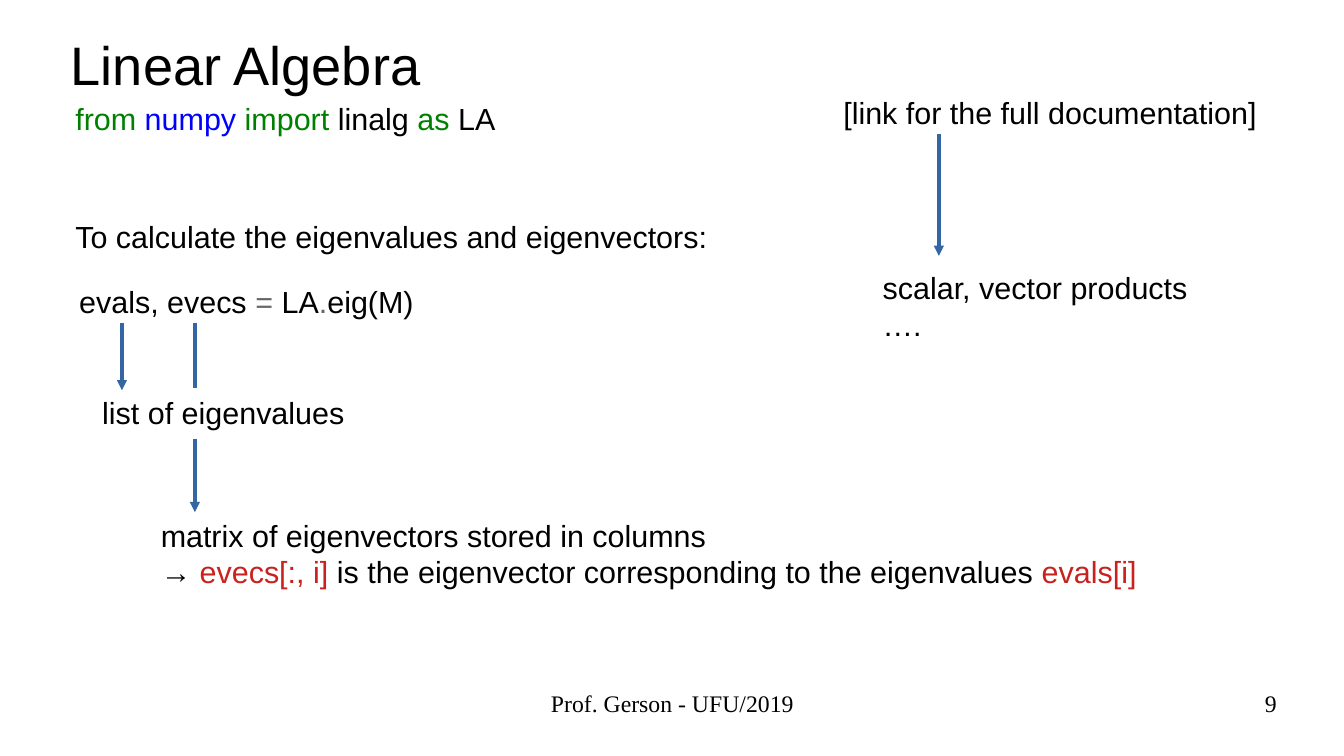
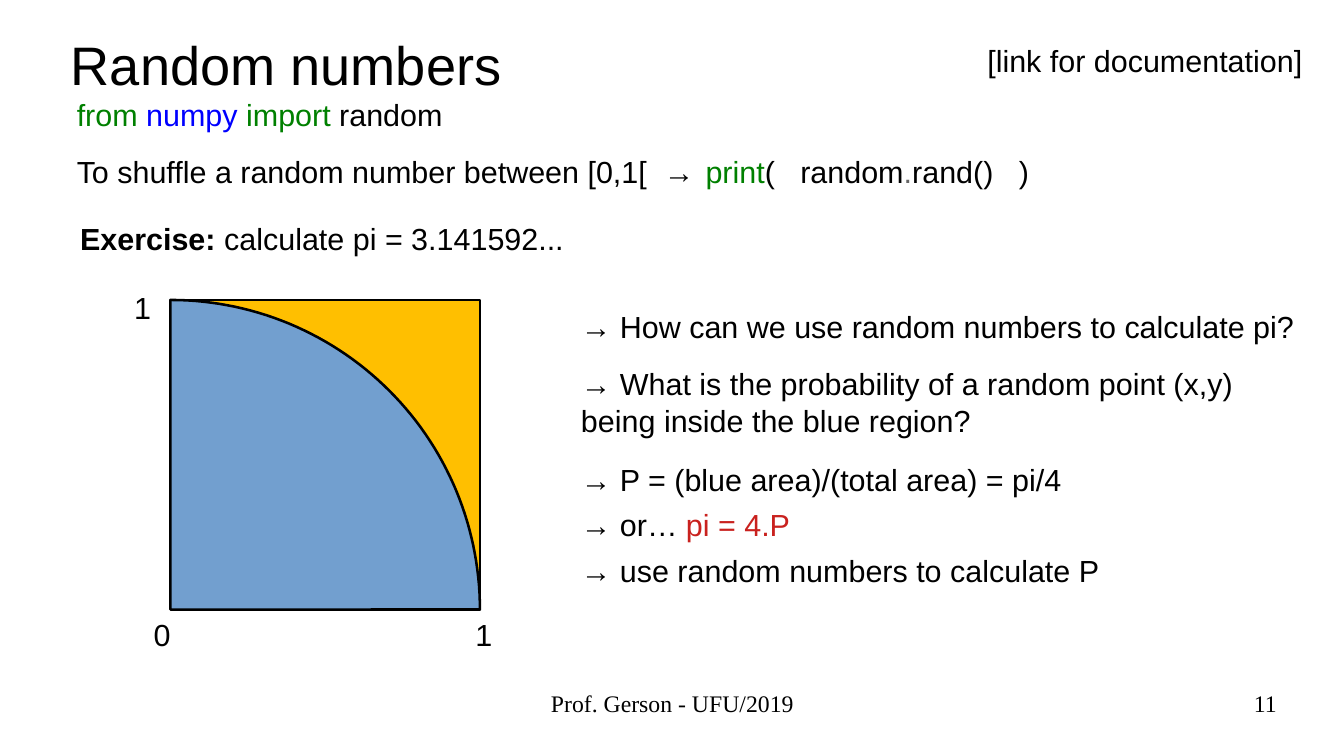
from dataclasses import dataclass
from math import cos, pi, sin

from lxml.etree import SubElement
from pptx import Presentation
from pptx.dml.color import RGBColor
from pptx.enum.shapes import MSO_CONNECTOR, MSO_SHAPE
from pptx.enum.text import MSO_ANCHOR, MSO_AUTO_SIZE, PP_ALIGN
from pptx.oxml.ns import qn
from pptx.util import Cm, Pt


@dataclass(frozen=True)
class Theme:
    ink: str = "000000"
    keyword: str = "008000"
    module_name: str = "0000FF"
    operator: str = "666666"
    highlight: str = "C9211E"
    arrow: str = "3465A4"
    square: str = "FFBF00"
    quarter: str = "729FCF"
    sans: str = "Arial"
    serif: str = "Times New Roman"
    title_size: int = 32
    text_size: int = 18
    footer_size: int = 14


THEME = Theme()
TITLE_AND_BODY, TITLE_ONLY = 1, 5
ARC_STEPS = 60


class Deck:
    """Holds the presentation, its theme and the slide being built."""

    def __init__(self, theme):
        self.theme = theme
        self.prs = Presentation()
        self.prs.slide_width, self.prs.slide_height = Cm(28), Cm(15.75)
        self.slide = None

    def new_slide(self, title, number, layout=TITLE_ONLY):
        self.slide = self.prs.slides.add_slide(self.prs.slide_layouts[layout])
        heading = self.slide.shapes.title
        self.place(heading, 1.22, 0.53, 17.75, 1.52)
        self.fill_text(heading.text_frame, [[title]], size=self.theme.title_size)
        self.footer("Prof. Gerson - UFU/2019", 9.58, 8.86, PP_ALIGN.CENTER)
        self.footer(number, 20.07, 6.53, PP_ALIGN.RIGHT)

    def place(self, shape, left, top, width, height):
        shape.left, shape.top = Cm(left), Cm(top)
        shape.width, shape.height = Cm(width), Cm(height)

    def fill_text(self, frame, paragraphs, size=None, font=None, align=PP_ALIGN.LEFT):
        """Each paragraph is a list of plain strings or (text, colour) pairs."""
        frame.word_wrap = True
        frame.auto_size = MSO_AUTO_SIZE.NONE
        frame.vertical_anchor = MSO_ANCHOR.TOP
        for index, parts in enumerate(paragraphs):
            paragraph = frame.add_paragraph() if index else frame.paragraphs[0]
            paragraph.alignment = align
            paragraph.space_before = Pt(0)
            for part in parts:
                words, colour = (part, self.theme.ink) if isinstance(part, str) else part
                run = paragraph.add_run()
                run.text = words
                run.font.size = Pt(size or self.theme.text_size)
                run.font.name = font or self.theme.sans
                run.font.color.rgb = RGBColor.from_string(colour)

    def text(self, left, top, width, *paragraphs, align=PP_ALIGN.LEFT):
        height = 0.25 + 0.72 * len(paragraphs)
        box = self.slide.shapes.add_textbox(Cm(left), Cm(top), Cm(width), Cm(height))
        self.fill_text(box.text_frame, paragraphs, align=align)
        return box.text_frame

    def axis_label(self, centre, top, label):
        self.text(centre - 0.6, top, 1.2, [label], align=PP_ALIGN.CENTER)

    def footer(self, words, left, width, align):
        frame = self.slide.shapes.add_textbox(
            Cm(left), Cm(14.35), Cm(width), Cm(1.09)).text_frame
        frame.margin_left = frame.margin_right = 0
        frame.margin_top = frame.margin_bottom = 0
        self.fill_text(frame, [[words]], self.theme.footer_size, self.theme.serif, align)

    def body(self, left, top, width, height, items):
        """Each item is (parts, space before in points, right margin in cm)."""
        holder = self.slide.placeholders[1]
        self.place(holder, left, top, width, height)
        frame = holder.text_frame
        self.fill_text(frame, [parts for parts, _, _ in items])
        for paragraph, (_, space, right_margin) in zip(frame.paragraphs, items):
            paragraph.space_before = Pt(space)
            properties = paragraph._p.get_or_add_pPr()
            properties.set("marL", "0")
            properties.set("indent", "0")
            properties.set("marR", str(int(Cm(right_margin))))
            SubElement(properties, qn("a:buNone"))

    def down_line(self, x, top, bottom, head=True):
        line = self.slide.shapes.add_connector(
            MSO_CONNECTOR.STRAIGHT, Cm(x), Cm(top), Cm(x), Cm(bottom))
        line.line.color.rgb = RGBColor.from_string(self.theme.arrow)
        line.line.width = Pt(0)
        if head:
            SubElement(line.line._get_or_add_ln(), qn("a:tailEnd"), type="triangle")
        SubElement(line._element.spPr, qn("a:effectLst"))

    def paint(self, shape, fill, line_width):
        shape.shadow.inherit = False
        shape.fill.solid()
        shape.fill.fore_color.rgb = RGBColor.from_string(fill)
        shape.line.color.rgb = RGBColor.from_string(self.theme.ink)
        shape.line.width = Pt(line_width)

    def quarter_in_square(self, left, top, side):
        square = self.slide.shapes.add_shape(
            MSO_SHAPE.RECTANGLE, Cm(left), Cm(top), Cm(side), Cm(side))
        self.paint(square, self.theme.square, 0)
        bottom = top + side
        angles = [pi / 2 * step / ARC_STEPS for step in range(ARC_STEPS + 1)]
        arc = [(Cm(left + side * sin(a)), Cm(bottom - side * cos(a))) for a in angles]
        outline = self.slide.shapes.build_freeform(Cm(left), Cm(bottom))
        outline.add_line_segments(arc, close=True)
        self.paint(outline.convert_to_shape(), self.theme.quarter, 1.5)


def numpy_import(*rest):
    return [("from ", THEME.keyword), ("numpy ", THEME.module_name),
            ("import", THEME.keyword), *rest]


def linear_algebra(deck):
    deck.new_slide("Linear Algebra", "9")
    deck.text(1.32, 1.96, 9.5, numpy_import(" linalg ", ("as", THEME.keyword), " LA"))
    deck.text(1.32, 4.42, 14, ["To calculate the eigenvalues and eigenvectors:"])
    deck.text(1.4, 5.77, 8, ["evals, evecs ", ("=", THEME.operator), " LA",
                             (".", THEME.operator), "eig(M)"])
    deck.down_line(2.54, 6.73, 8.13)
    deck.text(1.88, 8.08, 6, ["list of eigenvalues"])
    deck.down_line(4.06, 6.73, 8.08, head=False)
    deck.down_line(4.06, 9.14, 10.67)
    deck.text(3.1, 10.64, 21.5,
              ["matrix of eigenvectors stored in columns"],
              ["→ ", ("evecs[:, i]", THEME.highlight),
               " is the eigenvector corresponding to the eigenvalues ",
               ("evals[i]", THEME.highlight)])
    deck.text(17.32, 1.83, 9.6, ["[link for the full documentation]"])
    deck.down_line(19.56, 2.79, 5.33)
    deck.text(18.14, 5.49, 7.5, ["scalar, vector products"], ["…."])


def random_numbers(deck):
    deck.new_slide("Random numbers", "11", TITLE_AND_BODY)
    deck.text(20.32, 0.76, 7.4, ["[link for documentation]"])
    deck.text(1.35, 1.88, 9, numpy_import(" random"))
    deck.text(1.35, 3.07, 14, ["To shuffle a random number between [0,1[  →"])
    deck.text(14.45, 3.07, 7.8, [("print", THEME.keyword), "(   random",
                                 (".", THEME.operator), "rand()   )"])
    exercise = deck.text(1.42, 4.47, 11, ["Exercise: ", "calculate pi = 3.141592..."])
    exercise.paragraphs[0].runs[0].font.bold = True

    deck.quarter_in_square(3.55, 6.25, 6.45)
    deck.axis_label(3.38, 12.7, "0")
    deck.axis_label(10.08, 12.7, "1")
    deck.axis_label(2.97, 5.89, "1")

    deck.body(11.85, 6.3, 15.6, 6.5, [
        (["→ How can we use random numbers to calculate pi?"], 0, 0),
        (["→ What is the probability of a random point "
          "(x,y) being inside the blue region?"], 12, 1.5),
        (["→ P = (blue area)/(total area) = pi/4"], 13, 0),
        (["→ or… ", ("pi = 4.P", THEME.highlight)], 5.5, 0),
        (["→ use random numbers to calculate P"], 5.5, 0),
    ])


def main():
    deck = Deck(THEME)
    linear_algebra(deck)
    random_numbers(deck)
    deck.prs.save("out.pptx")


if __name__ == "__main__":
    main()
